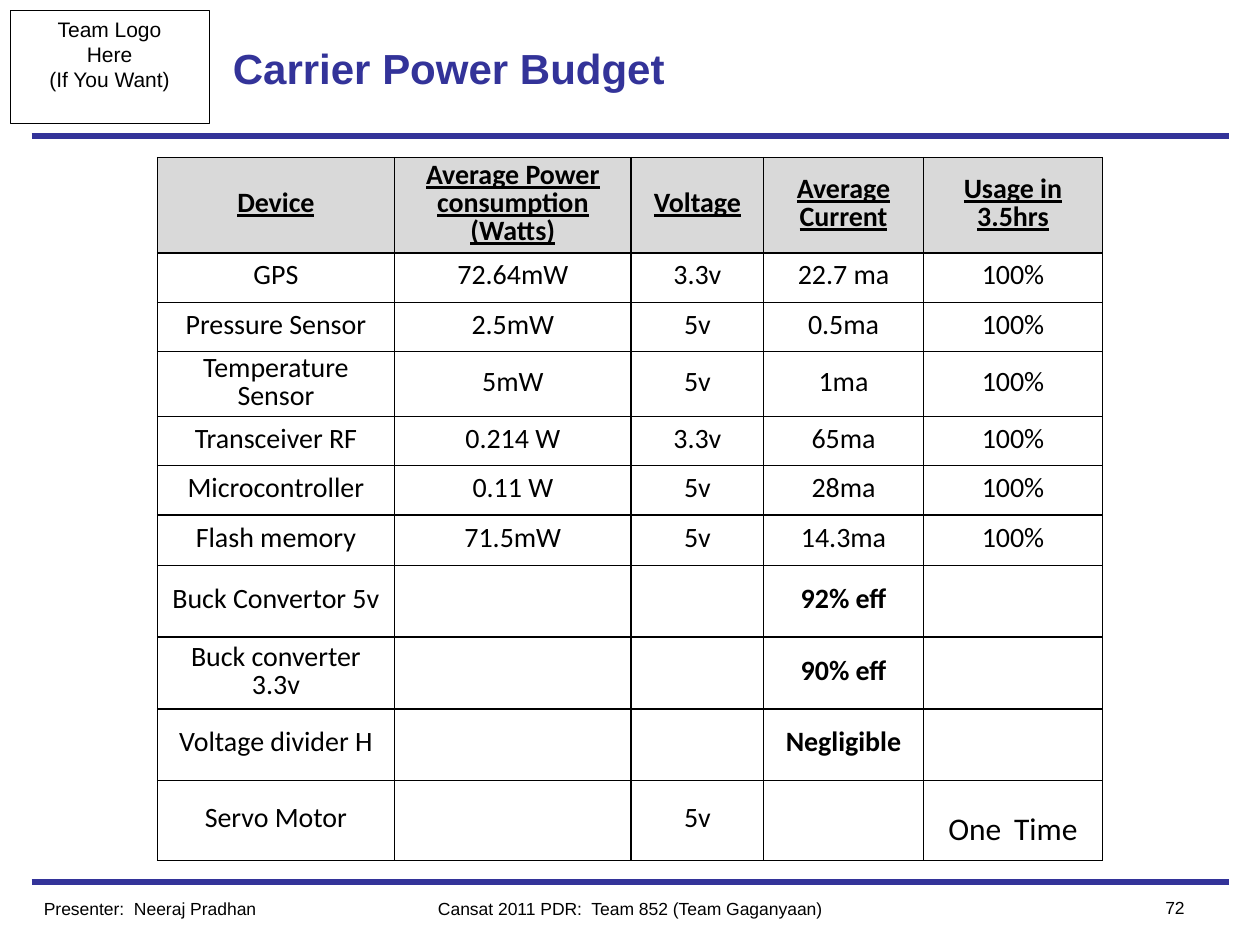
from dataclasses import dataclass

from lxml.etree import SubElement
from pptx import Presentation
from pptx.dml.color import RGBColor
from pptx.enum.shapes import MSO_CONNECTOR, MSO_SHAPE
from pptx.enum.text import MSO_ANCHOR, PP_ALIGN
from pptx.oxml import parse_xml
from pptx.oxml.ns import nsdecls, qn
from pptx.util import Pt

PX = 9144  # EMU in one px, 100 px to the inch


@dataclass(frozen=True)
class Theme:
    accent: str = "333399"
    ink: str = "000000"
    header_fill: str = "D9D9D9"
    heading_font: str = "Arial"
    table_font: str = "Calibri"
    title: int = 24
    body: int = 16
    logo: int = 12
    footer: int = 10
    line_spacing: float = 0.82


THEME = Theme()

LOGO_LINES = ["Team Logo", "Here", "(If You Want)"]
LOGO_BOX = (8, 8, 158, 90)
RULE_TOPS = [108, 700]
RULE_LEFT, RULE_RIGHT = 25, 975

FOOTER = {"size": THEME.footer}
TEXT_BOXES = [
    ("Carrier Power Budget", (175, 8, 650, 92), PP_ALIGN.LEFT, MSO_ANCHOR.MIDDLE,
     {"size": THEME.title, "bold": True, "color": THEME.accent}),
    ("Presenter:  Neeraj Pradhan", (25, 708, 250, 27), PP_ALIGN.LEFT, MSO_ANCHOR.TOP, FOOTER),
    ("Cansat 2011 PDR:  Team 852 (Team Gaganyaan)", (300, 708, 400, 27),
     PP_ALIGN.CENTER, MSO_ANCHOR.TOP, FOOTER),
    ("72", (875, 707, 75, 27), PP_ALIGN.RIGHT, MSO_ANCHOR.TOP, FOOTER),
]

TABLE_LEFT, TABLE_TOP = 125, 125
COLUMN_WIDTHS = [188, 188, 105, 127, 142]
ROW_HEIGHTS = [76, 39, 39, 51, 39, 39, 40, 57, 57, 57, 63]
ONE_TIME = [("One", 18), (" ", 32), ("Time", 18)]
BOLD_CELLS = {"92% eff", "90% eff", "Negligible"}
POWER_ROWS = [
    ["Device", "Average Power consumption (Watts)", "Voltage", "Average Current",
     "Usage in 3.5hrs"],
    ["GPS", "72.64mW", "3.3v", "22.7 ma", "100%"],
    ["Pressure Sensor", "2.5mW", "5v", "0.5ma", "100%"],
    ["Temperature Sensor", "5mW", "5v", "1ma", "100%"],
    ["Transceiver RF", "0.214 W", "3.3v", "65ma", "100%"],
    ["Microcontroller", "0.11 W", "5v", "28ma", "100%"],
    ["Flash memory", "71.5mW", "5v", "14.3ma", "100%"],
    ["Buck Convertor 5v", "", "", "92% eff", ""],
    ["Buck converter 3.3v", "", "", "90% eff", ""],
    ["Voltage divider H", "", "", "Negligible", ""],
    ["Servo Motor", "", "5v", "", ONE_TIME],
]


def emu(*lengths):
    return [length * PX for length in lengths]


def add_run(paragraph, text, size, color=THEME.ink, **font_values):
    run = paragraph.add_run()
    run.text = text
    values = {"name": THEME.heading_font, "size": Pt(size), "bold": False, **font_values}
    for name, value in values.items():
        setattr(run.font, name, value)
    run.font.color.rgb = RGBColor.from_string(color)


def add_rule(slide, top):
    rule = slide.shapes.add_connector(
        MSO_CONNECTOR.STRAIGHT, *emu(RULE_LEFT, top, RULE_RIGHT, top))
    rule.line.color.rgb = RGBColor.from_string(THEME.accent)
    rule.line.width = Pt(3)
    SubElement(rule.element.spPr, qn("a:effectLst"))


def add_logo_box(slide):
    box = slide.shapes.add_shape(MSO_SHAPE.RECTANGLE, *emu(*LOGO_BOX))
    box.shadow.inherit = False
    box.fill.background()
    box.line.color.rgb = RGBColor.from_string(THEME.ink)
    box.line.width = Pt(0.5)
    frame = box.text_frame
    frame.word_wrap = False
    frame.vertical_anchor = MSO_ANCHOR.TOP
    for index, line in enumerate(LOGO_LINES):
        paragraph = frame.add_paragraph() if index else frame.paragraphs[0]
        paragraph.alignment = PP_ALIGN.CENTER
        add_run(paragraph, line, THEME.logo)


def add_text(slide, text, place, alignment, anchor, font_values):
    frame = slide.shapes.add_textbox(*emu(*place)).text_frame
    frame.word_wrap = True
    frame.vertical_anchor = anchor
    paragraph = frame.paragraphs[0]
    paragraph.alignment = alignment
    add_run(paragraph, text, **font_values)


def add_borders(cell):
    properties = cell._tc.get_or_add_tcPr()
    for index, side in enumerate(("lnL", "lnR", "lnT", "lnB")):
        properties.insert(index, parse_xml(
            f'<a:{side} {nsdecls("a")} w="{Pt(1)}"><a:solidFill>'
            f'<a:srgbClr val="{THEME.ink}"/></a:solidFill></a:{side}>'))


def fill_cell(cell, content, is_header):
    cell.vertical_anchor = MSO_ANCHOR.MIDDLE
    cell.margin_top, cell.margin_bottom = emu(3, 5)
    add_borders(cell)
    if is_header:
        cell.fill.solid()
        cell.fill.fore_color.rgb = RGBColor.from_string(THEME.header_fill)
    else:
        cell.fill.background()
    paragraph = cell.text_frame.paragraphs[0]
    paragraph.alignment = PP_ALIGN.CENTER
    if isinstance(content, list):
        cell.margin_top = 5 * PX
        for text, size in content:
            add_run(paragraph, text, size, name=THEME.table_font)
    elif content:
        paragraph.line_spacing = THEME.line_spacing
        add_run(paragraph, content, THEME.body, name=THEME.table_font,
                bold=is_header or content in BOLD_CELLS, underline=is_header)


def add_power_table(slide):
    table = slide.shapes.add_table(
        len(POWER_ROWS), len(COLUMN_WIDTHS),
        *emu(TABLE_LEFT, TABLE_TOP, sum(COLUMN_WIDTHS), sum(ROW_HEIGHTS))).table
    table.first_row = table.horz_banding = False
    for column, width in zip(table.columns, COLUMN_WIDTHS):
        column.width = width * PX
    for index, (row, height) in enumerate(zip(table.rows, ROW_HEIGHTS)):
        row.height = height * PX
        for cell, content in zip(row.cells, POWER_ROWS[index]):
            fill_cell(cell, content, is_header=index == 0)


def main():
    presentation = Presentation()
    presentation.slide_width, presentation.slide_height = emu(1000, 750)
    slide = presentation.slides.add_slide(presentation.slide_layouts[6])
    for top in RULE_TOPS:
        add_rule(slide, top)
    add_logo_box(slide)
    for text_box in TEXT_BOXES:
        add_text(slide, *text_box)
    add_power_table(slide)
    presentation.save("out.pptx")


if __name__ == "__main__":
    main()
